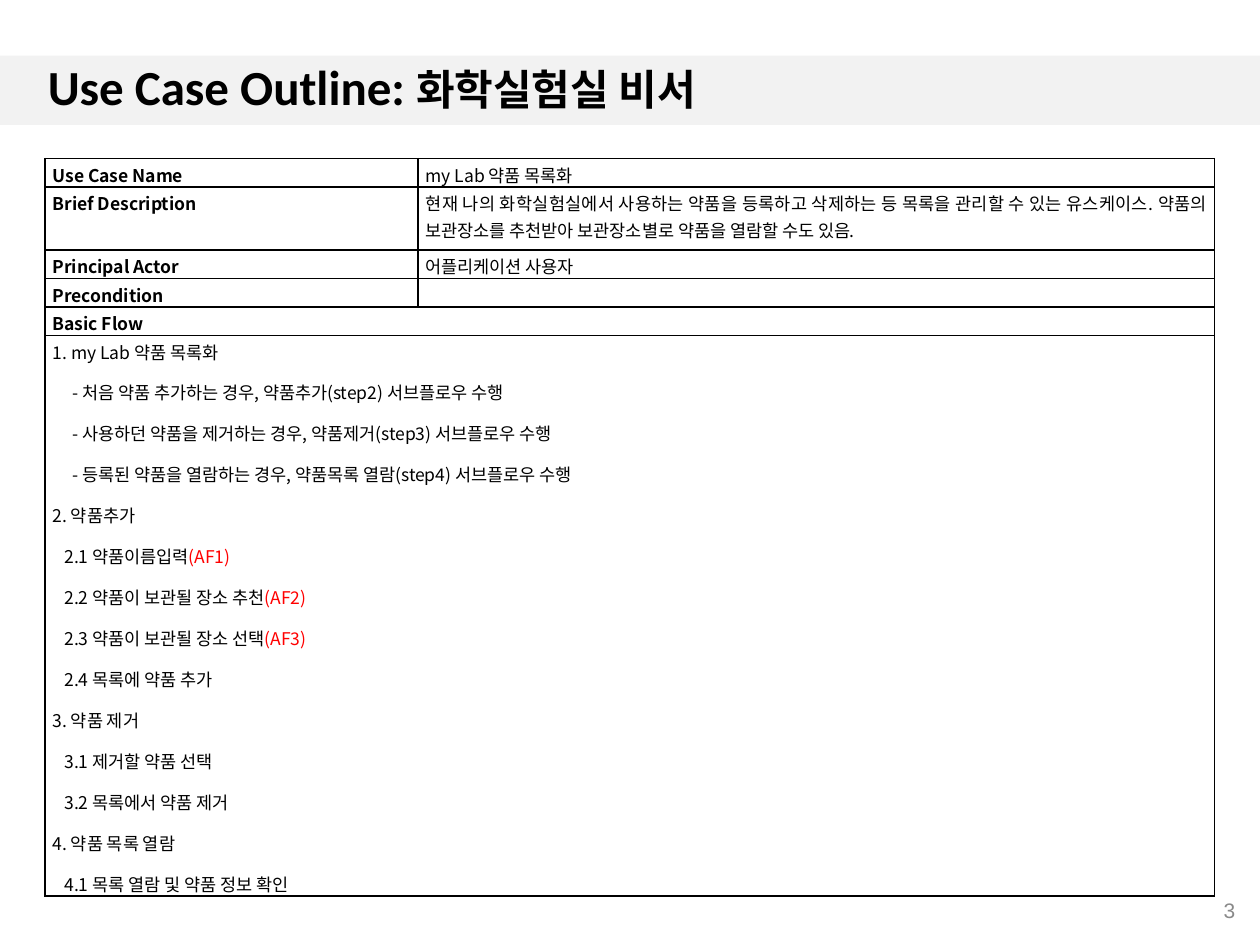
from lxml import etree
from pptx import Presentation
from pptx import util as u
from pptx.dml.color import RGBColor
from pptx.enum import shapes, text
from pptx.oxml.ns import qn

BODY_FONT = "Noto Sans CJK KR"
FIELDS = [
    ("Use Case Name", "my Lab 약품 목록화"),
    ("Brief Description", "현재 나의 화학실험실에서 사용하는 약품을 등록하고 삭제하는 등 목록을 관리할 수 있는 유스케이스. "
     "약품의 보관장소를 추천받아 보관장소별로 약품을 열람할 수도 있음."),
    ("Principal Actor", "어플리케이션 사용자"),
    ("Precondition", ""),
]
MAIN, STEP, BRANCH = 0, 0.24, 0.4
FLOW = [
    (MAIN, "1. my Lab 약품 목록화", ""),
    (BRANCH, "- 처음 약품 추가하는 경우, 약품추가(step2) 서브플로우 수행", ""),
    (BRANCH, "- 사용하던 약품을 제거하는 경우, 약품제거(step3) 서브플로우 수행", ""),
    (BRANCH, "- 등록된 약품을 열람하는 경우, 약품목록 열람(step4) 서브플로우 수행", ""),
    (MAIN, "2. 약품추가", ""),
    (STEP, "2.1 약품이름입력", "(AF1)"),
    (STEP, "2.2 약품이 보관될 장소 추천", "(AF2)"),
    (STEP, "2.3 약품이 보관될 장소 선택", "(AF3)"),
    (STEP, "2.4 목록에 약품 추가", ""),
    (MAIN, "3. 약품 제거", ""),
    (STEP, "3.1 제거할 약품 선택", ""),
    (STEP, "3.2 목록에서 약품 제거", ""),
    (MAIN, "4. 약품 목록 열람", ""),
    (STEP, "4.1 목록 열람 및 약품 정보 확인", ""),
]
ROW_HEIGHTS = [0.53, 1.27, 0.53, 0.53, 0.53, 10.44]


def rgb(value):
    """Turn a hex string into a colour."""
    return RGBColor.from_string(value)


def set_all(target, values):
    """Set each named attribute of the target."""
    for name, value in values.items():
        setattr(target, name, value)


def place(shape, left, top, width, height):
    """Move and size a shape in centimetres."""
    values = {"left": left, "top": top, "width": width, "height": height}
    set_all(shape, {name: u.Cm(value) for name, value in values.items()})


def add_span(para, words, size, font=BODY_FONT, colour="000000", bold=False):
    """Append formatted words to a paragraph."""
    span = para.add_run()
    span.text = words
    set_all(span.font, {"size": u.Pt(size), "name": font, "bold": bold})
    span.font.color.rgb = rgb(colour)
    etree.SubElement(span.font._element, qn("a:ea"), typeface=BODY_FONT)


def add_band(page):
    """Put the grey band behind the title."""
    band = page.shapes.add_shape(shapes.MSO_SHAPE.RECTANGLE, 0, u.Cm(1.12), u.Cm(25.4), u.Cm(1.4))
    band.shadow.inherit = False
    band.fill.solid()
    band.fill.fore_color.rgb = rgb("F2F2F2")
    band.line.fill.background()
    page.shapes._spTree.insert(2, band._element)


def format_title(page):
    """Place the title and write its two spans."""
    title = page.shapes.title
    place(title, 0.71, 1.09, 24, 1.42)
    title.text_frame.vertical_anchor = text.MSO_ANCHOR.MIDDLE
    para = title.text_frame.paragraphs[0]
    set_all(para, {"alignment": text.PP_ALIGN.LEFT, "line_spacing": 0.9})
    add_span(para, "Use Case Outline: ", 28, "Calibri", bold=True)
    add_span(para, "화학실험실 비서", 24, "Calibri", bold=True)


def add_page_number(page):
    """Write the page number at the bottom right."""
    box = page.shapes.add_textbox(0, 0, 0, 0)
    place(box, 19.43, 17.83, 5.72, 1.02)
    set_all(box.text_frame, {"word_wrap": True, "vertical_anchor": text.MSO_ANCHOR.MIDDLE})
    para = box.text_frame.paragraphs[0]
    para.alignment = text.PP_ALIGN.RIGHT
    add_span(para, "3", 12, "Arial", "898989")


def format_cell(cell):
    """Give a cell its margins, borders and white fill."""
    set_all(cell, {"margin_left": u.Cm(0.15), "margin_right": u.Cm(0.15),
                   "margin_top": u.Cm(0.03), "margin_bottom": 0})
    properties = cell._tc.get_or_add_tcPr()
    for side in ("lnL", "lnR", "lnT", "lnB"):
        line = etree.SubElement(properties, qn(f"a:{side}"), w=str(u.Pt(1)))
        fill = etree.SubElement(line, qn("a:solidFill"))
        etree.SubElement(fill, qn("a:srgbClr"), val="000000")
    cell.fill.solid()
    cell.fill.fore_color.rgb = rgb("FFFFFF")


def write_line(para, words, bold=False, indent=0, flow=""):
    """Write one table line with an optional red alternative flow."""
    set_all(para, {"alignment": text.PP_ALIGN.JUSTIFY, "line_spacing": 1.07, "space_after": u.Pt(8)})
    para._p.get_or_add_pPr().set("marL", str(u.Cm(indent)))
    if words:
        add_span(para, words, 10, bold=bold)
    else:
        etree.SubElement(para._p, qn("a:endParaRPr"), sz="1000")
    if flow:
        add_span(para, flow, 10, colour="FF0000")


def add_use_case_table(page):
    """Build the use case table with its basic flow."""
    frame = page.shapes.add_table(len(ROW_HEIGHTS), 2, u.Cm(0.91), u.Cm(3.2),
                                  u.Cm(23.57), u.Cm(sum(ROW_HEIGHTS)))
    table = frame.table
    set_all(table, {"first_row": False, "horz_banding": False})
    for column, width in zip(table.columns, (7.52, 16.05)):
        column.width = u.Cm(width)
    for row, height in zip(table.rows, ROW_HEIGHTS):
        row.height = u.Cm(height)
        for cell in row.cells:
            format_cell(cell)
    for index, (label, value) in enumerate(FIELDS):
        write_line(table.cell(index, 0).text_frame.paragraphs[0], label, True)
        write_line(table.cell(index, 1).text_frame.paragraphs[0], value)
    heading, body = len(FIELDS), len(FIELDS) + 1
    for index in (heading, body):
        table.cell(index, 0).merge(table.cell(index, 1))
    write_line(table.cell(heading, 0).text_frame.paragraphs[0], "Basic Flow", True)
    content = table.cell(body, 0).text_frame
    for index, (indent, words, flow) in enumerate(FLOW):
        para = content.add_paragraph() if index else content.paragraphs[0]
        write_line(para, words, indent=indent, flow=flow)


def main():
    """Build and save the slide."""
    deck = Presentation()
    set_all(deck, {"slide_width": u.Cm(25.4), "slide_height": u.Cm(19.05)})
    page = deck.slides.add_slide(deck.slide_layouts[5])
    add_band(page)
    format_title(page)
    add_use_case_table(page)
    add_page_number(page)
    deck.save("out.pptx")


if __name__ == "__main__":
    main()
